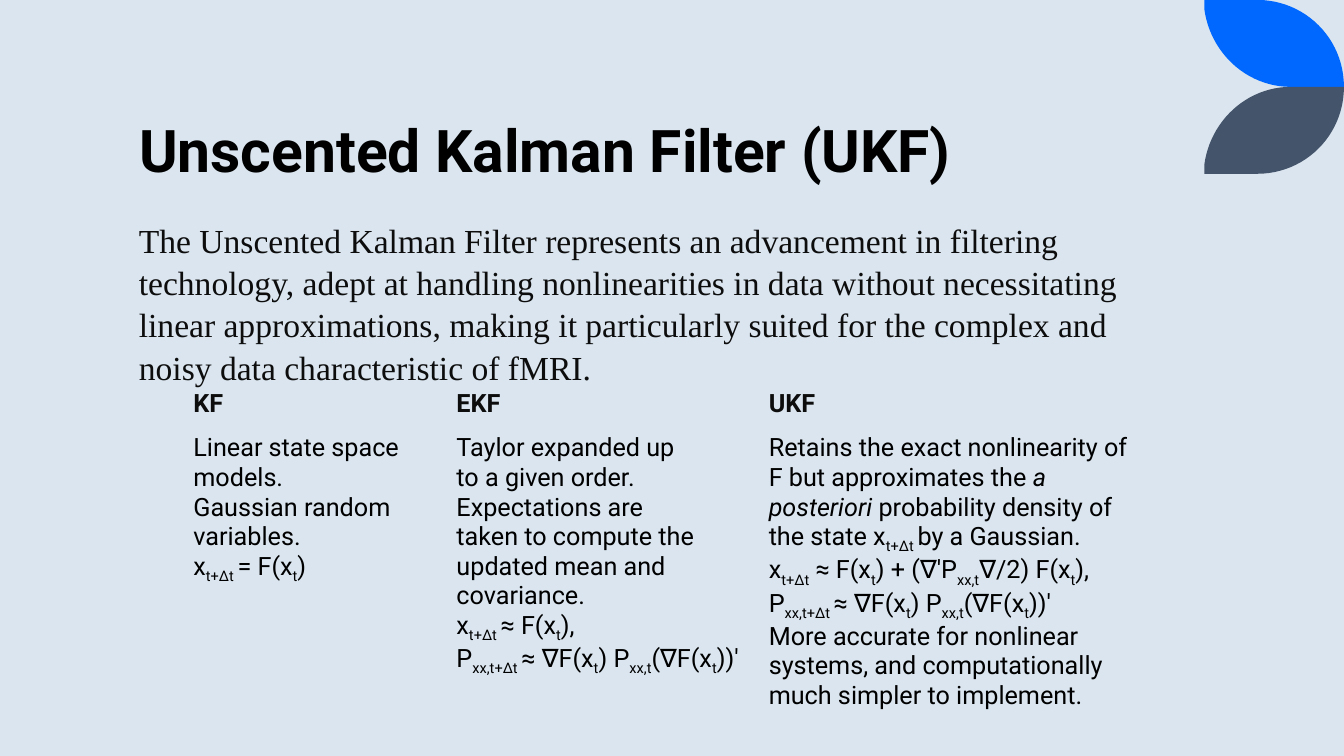
from dataclasses import dataclass

from pptx import Presentation
from pptx.dml.color import RGBColor
from pptx.enum.text import MSO_ANCHOR, MSO_AUTO_SIZE as AutoSize, PP_ALIGN as Align
from pptx.util import Cm, Pt


@dataclass(frozen=True)
class Theme:
    """Hold the colours, fonts and type sizes of the slide."""
    background: str = "DAE5EF"
    blue: str = "0068FF"
    slate: str = "44546A"
    black: str = "000000"
    ink: str = "0D0D0D"
    sans: str = "Roboto"
    serif: str = "Times New Roman"
    title_size: int = 42
    body_size: int = 24
    table_size: int = 18


THEME = Theme()
PLAIN_TABLE_STYLE = "{2D5ABB26-0587-4C30-8999-92F81FD0307C}"
TITLE = "Unscented Kalman Filter (UKF)"
SUMMARY = (
    "The Unscented Kalman Filter represents an advancement in filtering technology, "
    "adept at handling nonlinearities in data without necessitating linear "
    "approximations, making it particularly suited for the complex and noisy data "
    "characteristic of fMRI."
)
COVARIANCE = "P|xx,t+∆t |≈ ∇F(x|t|) P|xx,t|(∇F(x|t|))′"
FILTERS = {
    "KF": [
        "Linear state space models.",
        "Gaussian random variables.",
        "x|t+∆t |= F(x|t|)",
    ],
    "EKF": [
        "Taylor expanded up",
        "to a given order.",
        "Expectations are",
        "taken to compute the updated mean and covariance.",
        "x|t+∆t |≈ F(x|t|),",
        COVARIANCE,
    ],
    "UKF": [
        "Retains the exact nonlinearity of F but approximates the *a posteriori *"
        "probability density of the state x|t+∆t |by a Gaussian.",
        "x|t+∆t| ≈ F(x|t|) + (∇′P|xx,t|∇/2) F(x|t|),",
        COVARIANCE,
        "More accurate for nonlinear systems, and computationally much simpler to implement.",
    ],
}


def style_run(span, font, size, color, bold=False):
    """Give a run its font, size, colour and weight."""
    span.font.name = font
    span.font.size = Pt(size)
    span.font.color.rgb = RGBColor.from_string(color)
    span.font.bold = bold


def add_marked_text(para, text):
    """Write text in which |bars| enclose subscripts and *stars* enclose italics."""
    for index, piece in enumerate(text.split("|")):
        for turn, words in enumerate(piece.split("*")):
            if not words:
                continue
            span = para.add_run()
            span.text = words
            style_run(span, THEME.sans, THEME.table_size, THEME.black)
            span.font.italic = turn % 2 == 1
            if index % 2:
                span.font._element.set("baseline", "-25000")


def curve(start, first, second, end, steps=24):
    """Return points along a cubic curve, without its start."""
    points = []
    for step in range(1, steps + 1):
        t = step / steps
        weights = ((1 - t) ** 3, 3 * t * (1 - t) ** 2, 3 * t * t * (1 - t), t ** 3)
        controls = (start, first, second, end)
        points.append(tuple(sum(w * c[axis] for w, c in zip(weights, controls))
                            for axis in (0, 1)))
    return points


def add_leaf(page, top, color, flipped=False):
    """Draw one corner leaf, upside down when flipped."""
    left, width, height = Cm(30.35), Cm(3.52), Cm(2.19)
    outline = [(0, 0), (0.38, 0)]
    outline += curve((0.38, 0), (0.72, 0), (1, 0.44), (1, 1))
    outline += [(0.62, 1)]
    outline += curve((0.62, 1), (0.3, 1), (0.04, 0.6), (0, 0.1))
    points = [(int(left + x * width), int(top + (1 - y if flipped else y) * height))
              for x, y in outline]
    builder = page.shapes.build_freeform(*points[0], scale=1.0)
    builder.add_line_segments(points[1:], close=True)
    leaf = builder.convert_to_shape()
    leaf.shadow.inherit = False
    leaf.fill.solid()
    leaf.fill.fore_color.rgb = RGBColor.from_string(color)
    leaf.line.fill.background()


def set_title(page):
    """Place and format the title placeholder."""
    title = page.shapes.title
    title.left, title.top, title.width, title.height = Cm(3.25), Cm(0.38), Cm(27.15), Cm(4.37)
    frame = title.text_frame
    frame.text = TITLE
    frame.auto_size = AutoSize.NONE
    frame.vertical_anchor = MSO_ANCHOR.BOTTOM
    para = frame.paragraphs[0]
    para.alignment = Align.LEFT
    para.line_spacing = 0.8
    style_run(para.runs[0], THEME.sans, THEME.title_size, THEME.black, bold=True)


def add_summary(page):
    """Add the introductory text."""
    box = page.shapes.add_textbox(Cm(3.25), Cm(5.36), Cm(26.62), Cm(7.57))
    frame = box.text_frame
    frame.word_wrap = True
    frame.text = SUMMARY
    para = frame.paragraphs[0]
    para.line_spacing = 1.05
    style_run(para.runs[0], THEME.serif, THEME.body_size, THEME.ink)


def add_filter_table(page):
    """Add the table that compares the three filters."""
    widths, heights = (6.63, 7.87, 9.93), (1.12, 6.63)
    holder = page.shapes.add_table(len(heights), len(widths), Cm(4.62), Cm(9.68),
                                   Cm(sum(widths)), Cm(sum(heights)))
    table = holder.table
    table._tbl.tblPr.find("{*}tableStyleId").text = PLAIN_TABLE_STYLE
    table.horz_banding = False
    for row, height in zip(table.rows, heights):
        row.height = Cm(height)
    for index, (name, lines) in enumerate(FILTERS.items()):
        table.columns[index].width = Cm(widths[index])
        header, body = table.cell(0, index), table.cell(1, index)
        header.fill.background()
        body.fill.background()
        header.text_frame.text = name
        style_run(header.text_frame.paragraphs[0].runs[0],
                  THEME.sans, THEME.table_size, THEME.ink, bold=True)
        for number, line in enumerate(lines):
            frame = body.text_frame
            add_marked_text(frame.add_paragraph() if number else frame.paragraphs[0], line)


def main():
    """Build the slide and save it."""
    deck = Presentation()
    deck.slide_width, deck.slide_height = Cm(33.87), Cm(19.05)
    page = deck.slides.add_slide(deck.slide_layouts[5])
    page.background.fill.solid()
    page.background.fill.fore_color.rgb = RGBColor.from_string(THEME.background)
    add_leaf(page, Cm(0), THEME.blue)
    add_leaf(page, Cm(2.19), THEME.slate, flipped=True)
    set_title(page)
    add_summary(page)
    add_filter_table(page)
    deck.save("out.pptx")


if __name__ == "__main__":
    main()
